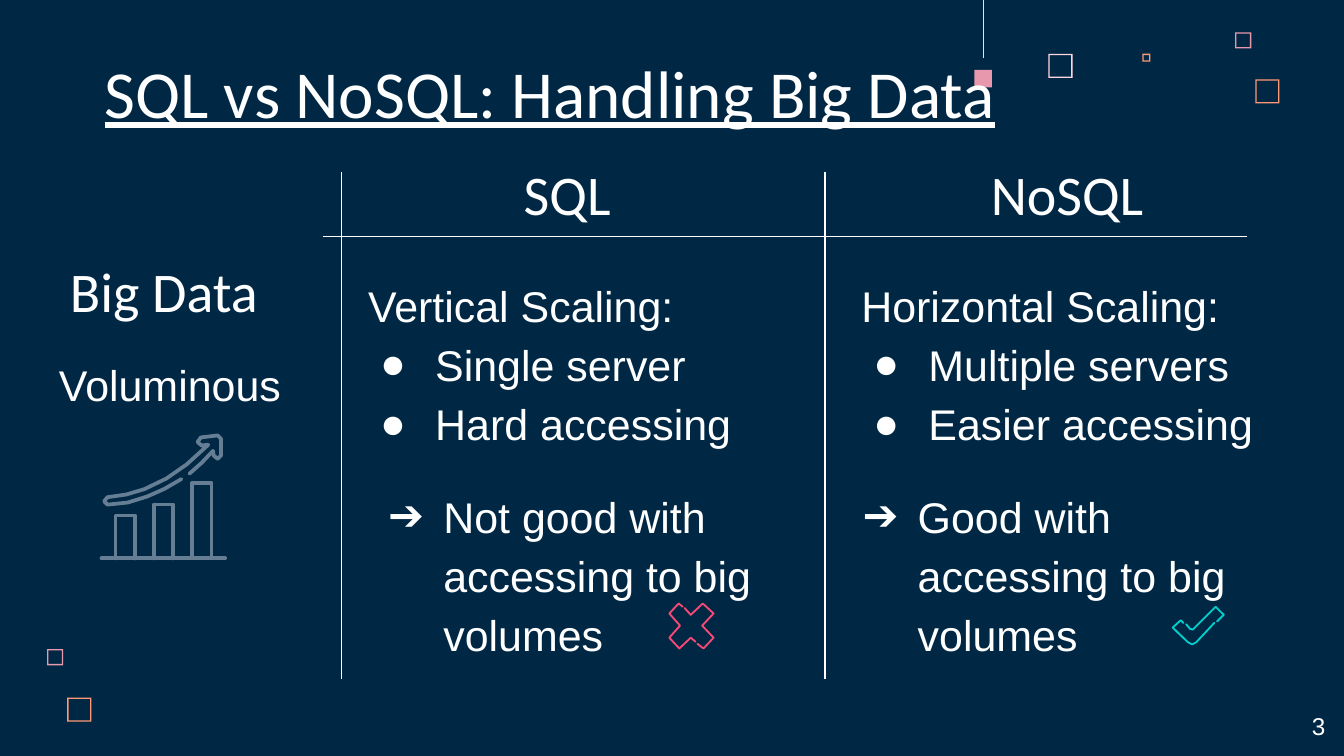
from dataclasses import dataclass

from lxml.etree import SubElement
from pptx import Presentation
from pptx.dml.color import RGBColor
from pptx.enum.shapes import MSO_CONNECTOR as Link, MSO_SHAPE as Preset
from pptx.enum.text import MSO_ANCHOR as Anchor, PP_ALIGN as Align
from pptx.oxml.ns import qn
from pptx.util import Inches, Pt


@dataclass(frozen=True)
class Theme:
    navy: str = "002845"
    white: str = "FFFFFF"
    blush: str = "FFD6E1"
    pink: str = "E898AC"
    orange: str = "FF9973"
    red: str = "F64975"
    teal: str = "00CFCC"
    slate: str = "657E93"
    heading_font: str = "Calibri"
    body_font: str = "Arial"
    title_size: int = 36
    heading_size: int = 30
    body_size: int = 23
    number_size: int = 13


CELL = Inches(0.1)  # the slide is a grid of 100 columns by 56.25 rows


def color(code):
    return RGBColor.from_string(code)


def apply(target, values):
    for name, value in values.items():
        setattr(target, name, value)


class SlideBuilder:
    def __init__(self, slide, theme):
        self.slide, self.shapes, self.theme = slide, slide.shapes, theme
        slide.background.fill.solid()
        slide.background.fill.fore_color.rgb = color(theme.navy)

    @staticmethod
    def cells(*counts):
        return [round(count * CELL) for count in counts]

    def text(self, area, lines, size, font, anchor=Anchor.TOP,
             align=Align.LEFT, spacing=1.0, underline=None):
        """Each line is a (bullet, words) pair; the bullet may be empty."""
        frame = self.shapes.add_textbox(*self.cells(*area)).text_frame
        inset = Inches(0.1)
        apply(frame, dict(word_wrap=True, vertical_anchor=anchor,
                          margin_left=inset, margin_right=inset,
                          margin_top=inset, margin_bottom=inset))
        for index, (bullet, words) in enumerate(lines):
            para = frame.add_paragraph() if index else frame.paragraphs[0]
            apply(para, dict(alignment=align, line_spacing=spacing))
            span = para.add_run()
            span.text = words
            apply(span.font, dict(size=Pt(size), name=font, underline=underline))
            span.font.color.rgb = color(self.theme.white)
            if bullet:
                self.bullet(para, bullet)

    def bullet(self, para, mark):
        props = para._p.get_or_add_pPr()
        props.set("marL", str(Inches(0.5)))
        props.set("indent", str(-Inches(0.41)))
        tint = SubElement(props, qn("a:buClr"))
        SubElement(tint, qn("a:srgbClr"), val=self.theme.white)
        SubElement(props, qn("a:buFont"), typeface=self.theme.body_font)
        SubElement(props, qn("a:buChar"), char=mark)

    def heading(self, area, words, **options):
        settings = dict(size=self.theme.heading_size, align=Align.CENTER) | options
        self.text(area, [("", words)], font=self.theme.heading_font,
                  anchor=Anchor.BOTTOM, **settings)

    def body(self, area, lines):
        self.text(area, lines, self.theme.body_size, self.theme.body_font,
                  spacing=1.15)

    def square(self, left, top, side, tint, preset=Preset.FRAME):
        shape = self.shapes.add_shape(preset, *self.cells(left, top, side, side))
        if preset == Preset.FRAME:
            shape.adjustments[0] = 0.1 / side
        shape.shadow.inherit = False
        shape.fill.solid()
        shape.fill.fore_color.rgb = color(tint)
        shape.line.fill.background()

    def line(self, start, end, tint, width=0.75):
        link = self.shapes.add_connector(Link.STRAIGHT, *self.cells(*start, *end))
        link.line.color.rgb = color(tint)
        link.line.width = Pt(width)
        SubElement(link._element.spPr, qn("a:effectLst"))

    def stroke(self, points, tint, width):
        """Open outline with rounded ends and corners."""
        first, *others = [self.cells(*point) for point in points]
        pen = self.shapes.build_freeform(*first)
        pen.add_line_segments(others, close=False)
        shape = pen.convert_to_shape()
        shape.shadow.inherit = False
        shape.fill.background()
        shape.line.color.rgb = color(tint)
        shape.line.width = Pt(width)
        outline = shape.line._get_or_add_ln()
        outline.set("cap", "rnd")
        SubElement(outline, qn("a:round"))


def main():
    theme = Theme()
    deck = Presentation()
    deck.slide_width, deck.slide_height = Pt(720), Pt(405)
    page = SlideBuilder(deck.slides.add_slide(deck.slide_layouts[6]), theme)

    # Corner decoration
    for square in [(78, 4, 1.8, theme.blush), (91.9, 2.4, 1.2, theme.pink),
                   (85, 4, 0.6, theme.orange), (93.4, 5.9, 1.8, theme.orange),
                   (3.5, 48.3, 1.2, theme.pink), (5, 51.9, 1.8, theme.orange)]:
        page.square(*square)
    page.square(72.5, 5.2, 1.3, theme.pink, Preset.RECTANGLE)
    page.line((73.2, 0), (73.2, 4.3), theme.blush, 0.5)

    # Headings, slide number and title
    page.heading((33.9, 10.8, 16.6, 7.1), "SQL")
    page.heading((1.9, 18, 20.6, 7.1), "Big Data")
    page.heading((69.1, 10.8, 20.6, 7.1), "NoSQL")
    page.text((93.6, 51.9, 6, 4.3), [("", "3")], theme.number_size,
              theme.body_font, align=Align.RIGHT)
    page.heading((6.8, 4.5, 73.6, 6.3), "SQL vs NoSQL: Handling Big Data",
                 size=theme.title_size, align=Align.LEFT, underline=True)

    # Comparison grid
    page.line((24, 17.6), (92.8, 17.6), theme.white)
    for column in (25.4, 61.4):
        page.line((column, 12.8), (column, 50.5), theme.white)

    # Row label and the two columns
    page.body((3.4, 25.1, 22.1, 5.9), [("", "Voluminous")])
    columns = [
        (26.4, 35, "Vertical Scaling:", ["Single server", "Hard accessing"],
         27, 31.5, "Not good with accessing to big volumes"),
        (63.1, 32.8, "Horizontal Scaling:", ["Multiple servers", "Easier accessing"],
         62.3, 30.2, "Good with accessing to big volumes"),
    ]
    for left, width, scaling, traits, verdict_left, verdict_width, verdict in columns:
        page.body((left, 19.2, width, 14.8),
                  [("", scaling)] + [("●", trait) for trait in traits])
        page.body((verdict_left, 34.9, verdict_width, 14.8), [("➔", verdict)])

    # Check mark and cross, each in two strokes
    check = [
        [(88.05, 46.35), (87.85, 46.15), (87.25, 46.7), (88.4, 47.8),
         (88.7, 47.95), (89, 47.8), (90.35, 46.35)],
        [(88.25, 46.45), (88.55, 46.8), (88.75, 46.85), (90.45, 45.15),
         (91.05, 45.75), (90.55, 46.25)],
    ]
    cross = [
        [(50.95, 45.25), (51.4, 45.75), (52.3, 44.9), (53.1, 45.65),
         (52.25, 46.55), (53.1, 47.45), (52.35, 48.25), (51.9, 47.9)],
        [(50.8, 45.15), (50.5, 44.9), (49.8, 45.65), (50.6, 46.55),
         (49.8, 47.45), (50.55, 48.25), (51.4, 47.45), (51.75, 47.75)],
    ]
    for icon, tint in ((check, theme.teal), (cross, theme.red)):
        for points in icon:
            page.stroke(points, tint, 1)

    # Growth chart icon: baseline, bars and rising arrow
    base = 41.55
    page.stroke([(7.55, base), (16.75, base)], theme.slate, 2)
    for index, top in enumerate((38.35, 37.55, 35.95)):
        left = 8.6 + 2.85 * index
        right = left + 1.45
        page.stroke([(left, base), (left, top), (right, top), (right, base)],
                    theme.slate, 2)
    page.stroke([(13.5, 35.65), (12.2, 36.4), (10.95, 36.95), (9.5, 37.4),
                 (8, 37.55), (7.75, 37.3), (8, 37), (9.4, 36.8), (10.75, 36.4),
                 (12.4, 35.6), (13.9, 34.55), (15.5, 33.1), (15, 33.15),
                 (14.7, 32.9), (14.95, 32.55), (16.2, 32.4), (16.45, 32.65),
                 (16.45, 33.9), (16.2, 34.15), (15.9, 33.9), (15.85, 33.55),
                 (15, 34.45), (14.1, 35.25)], theme.slate, 2)

    deck.save("out.pptx")


if __name__ == "__main__":
    main()
